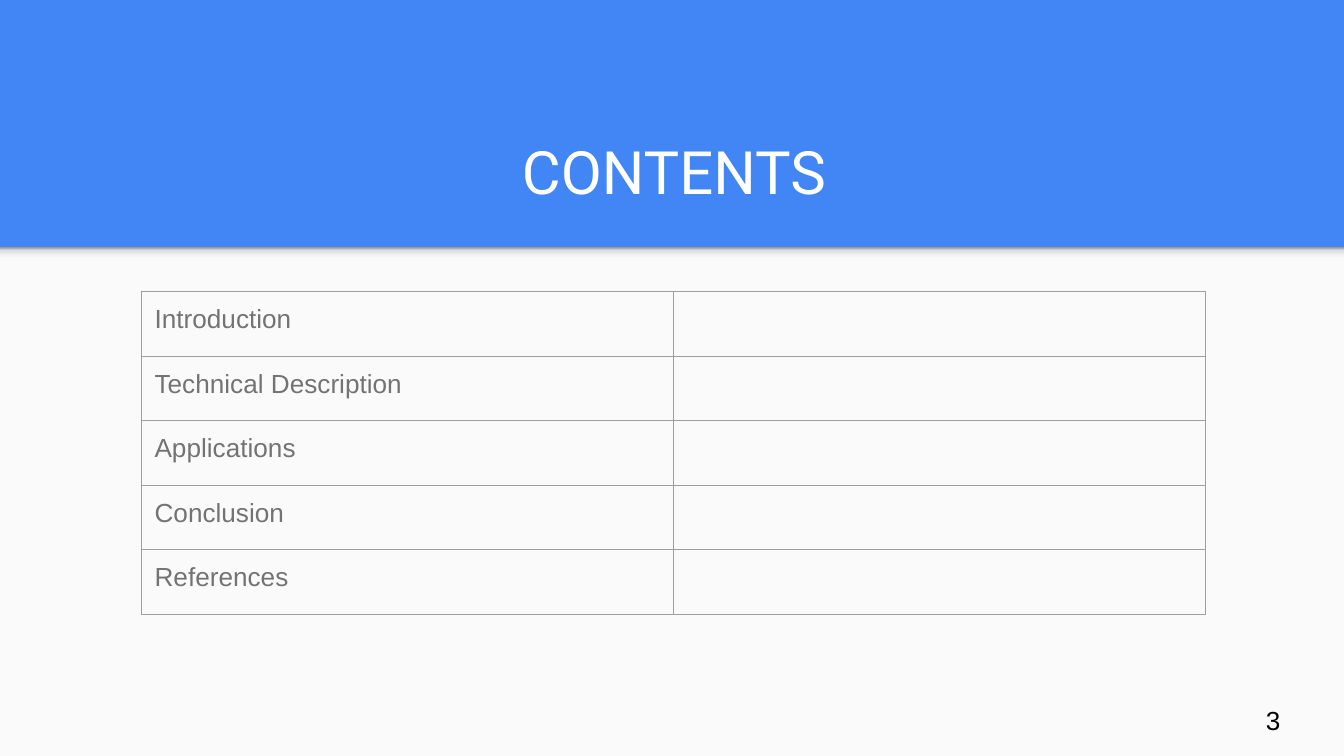
from lxml.etree import SubElement
from pptx import Presentation
from pptx.dml.color import RGBColor
from pptx.enum.shapes import MSO_SHAPE as Shape
from pptx.enum.text import MSO_ANCHOR as Anchor, MSO_AUTO_SIZE as AutoSize, PP_ALIGN as Align
from pptx.oxml.ns import qn
from pptx.util import Inches, Pt

# Content
TITLE = "CONTENTS"
TOPICS = ["Introduction", "Technical Description", "Applications", "Conclusion", "References"]
PAGE = "3"

THEME = {
    "blue": "4285F4", "panel": "FAFAFA", "white": "FFFFFF",
    "gray": "737373", "border": "9E9E9E", "black": "000000",
    "shade": [(0, "F9F9F9"), (36, "F9F9F9"), (80, "DEDEDE"), (100, "999999")],
    "title_font": "Roboto", "body_font": "Arial",
    "title_size": 32, "body_size": 14, "border_width": 0.75,
}
WIDTH = 10
HEIGHT = WIDTH * 9 / 16
PANEL_TOP, SHADE_HEIGHT = 1.84, 0.12
TABLE_LEFT, TABLE_TOP, COLUMN_WIDTH, ROW_HEIGHT = 1.05, 2.17, 3.96, 0.48
COLUMNS = 2


def color(key):
    return RGBColor.from_string(THEME[key])


def write(frame, text, role, ink, align=Align.LEFT):
    paragraph = frame.paragraphs[0]
    paragraph.alignment = align
    run = paragraph.add_run()
    run.text = text
    run.font.name = THEME[f"{role}_font"]
    run.font.size = Pt(THEME[f"{role}_size"])
    run.font.color.rgb = color(ink)


def set_margins(holder):
    for side in ("left", "top", "right", "bottom"):
        setattr(holder, f"margin_{side}", Inches(0.1))


def add_band(slide, top, height):
    band = slide.shapes.add_shape(Shape.RECTANGLE, 0, Inches(top), Inches(WIDTH), Inches(height))
    band.shadow.inherit = False
    band.line.fill.background()
    return band


def shade_upward(band):
    band.fill.gradient()
    band.fill.gradient_angle = 90
    stops = band._element.spPr.find(qn("a:gradFill")).find(qn("a:gsLst"))
    for stop in list(stops):
        stops.remove(stop)
    for percent, value in THEME["shade"]:
        stop = SubElement(stops, qn("a:gs"), pos=str(percent * 1000))
        SubElement(stop, qn("a:srgbClr"), val=value)


def set_borders(cell):
    properties = cell._tc.get_or_add_tcPr()
    for side in ("lnL", "lnR", "lnT", "lnB"):
        line = SubElement(properties, qn(f"a:{side}"), w=str(Pt(THEME["border_width"])))
        fill = SubElement(line, qn("a:solidFill"))
        SubElement(fill, qn("a:srgbClr"), val=THEME["border"])


def main():
    deck = Presentation()
    deck.slide_width, deck.slide_height = Inches(WIDTH), Inches(HEIGHT)
    slide = deck.slides.add_slide(deck.slide_layouts[5])
    slide.background.fill.solid()
    slide.background.fill.fore_color.rgb = color("blue")

    # Light panel and the shade under the header
    panel = add_band(slide, PANEL_TOP, HEIGHT - PANEL_TOP)
    panel.fill.solid()
    panel.fill.fore_color.rgb = color("panel")
    shade_upward(add_band(slide, PANEL_TOP, SHADE_HEIGHT))

    # Title
    title = slide.shapes.title
    title.left, title.top = Inches(0.52), Inches(0.8)
    title.width, title.height = Inches(8.99), Inches(0.84)
    heading = title.text_frame
    heading.auto_size = AutoSize.NONE
    heading.vertical_anchor = Anchor.BOTTOM
    set_margins(heading)
    write(heading, TITLE, "title", "white", Align.CENTER)

    # Table of topics, with an empty second column
    contents = slide.shapes.add_table(
        len(TOPICS), COLUMNS, Inches(TABLE_LEFT), Inches(TABLE_TOP),
        Inches(COLUMNS * COLUMN_WIDTH), Inches(len(TOPICS) * ROW_HEIGHT)).table
    contents.first_row = contents.horz_banding = False
    for cell in contents.iter_cells():
        set_margins(cell)
        set_borders(cell)
        cell.fill.background()
        cell.text_frame.paragraphs[0].font.size = Pt(THEME["body_size"])
    for row, topic in enumerate(TOPICS):
        write(contents.cell(row, 0).text_frame, topic, "body", "gray")

    # Page number
    page = slide.shapes.add_textbox(Inches(9.32), Inches(5.14), Inches(0.6), Inches(0.43)).text_frame
    page.word_wrap = True
    page.vertical_anchor = Anchor.MIDDLE
    set_margins(page)
    write(page, PAGE, "body", "black")

    deck.save("out.pptx")


if __name__ == "__main__":
    main()
